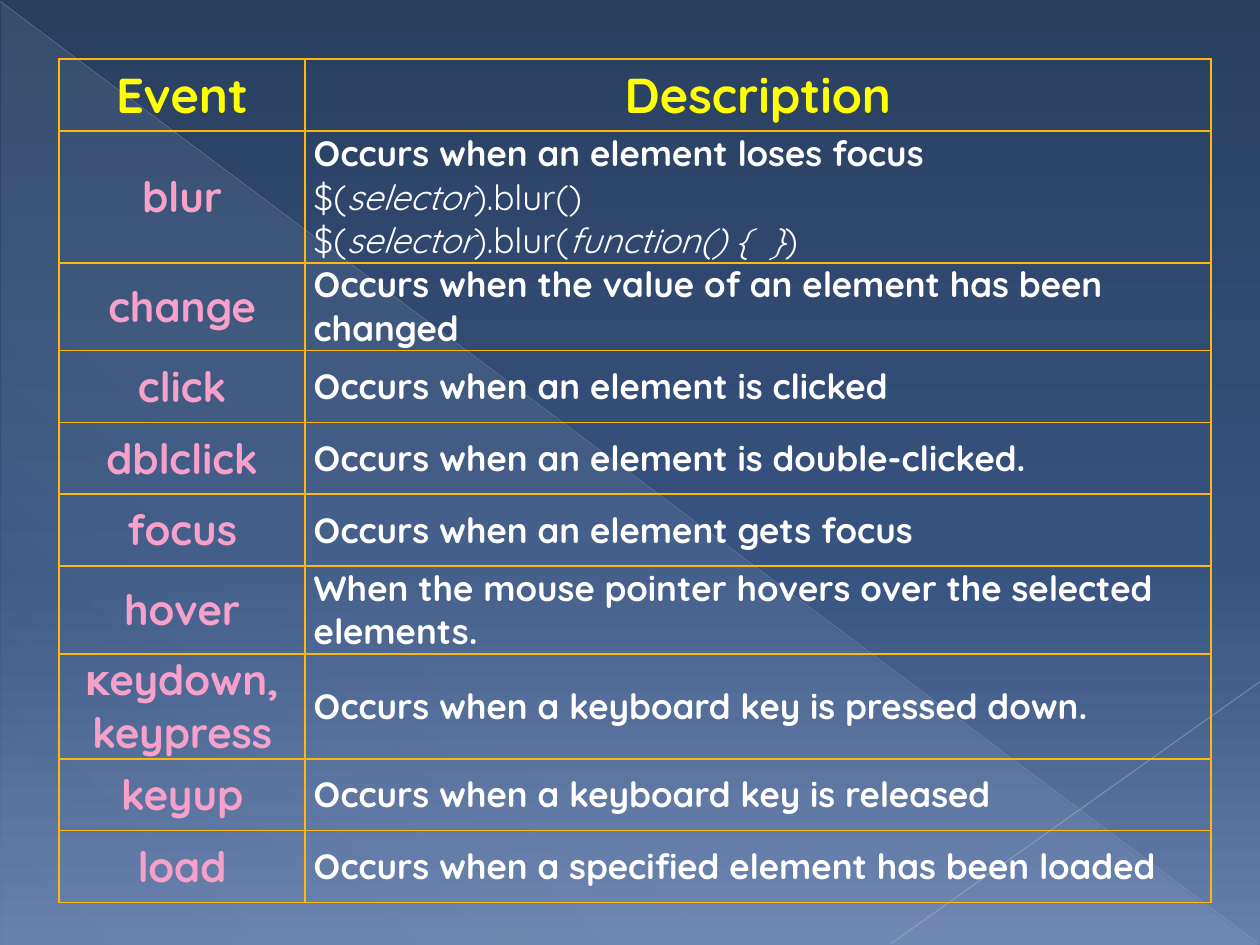
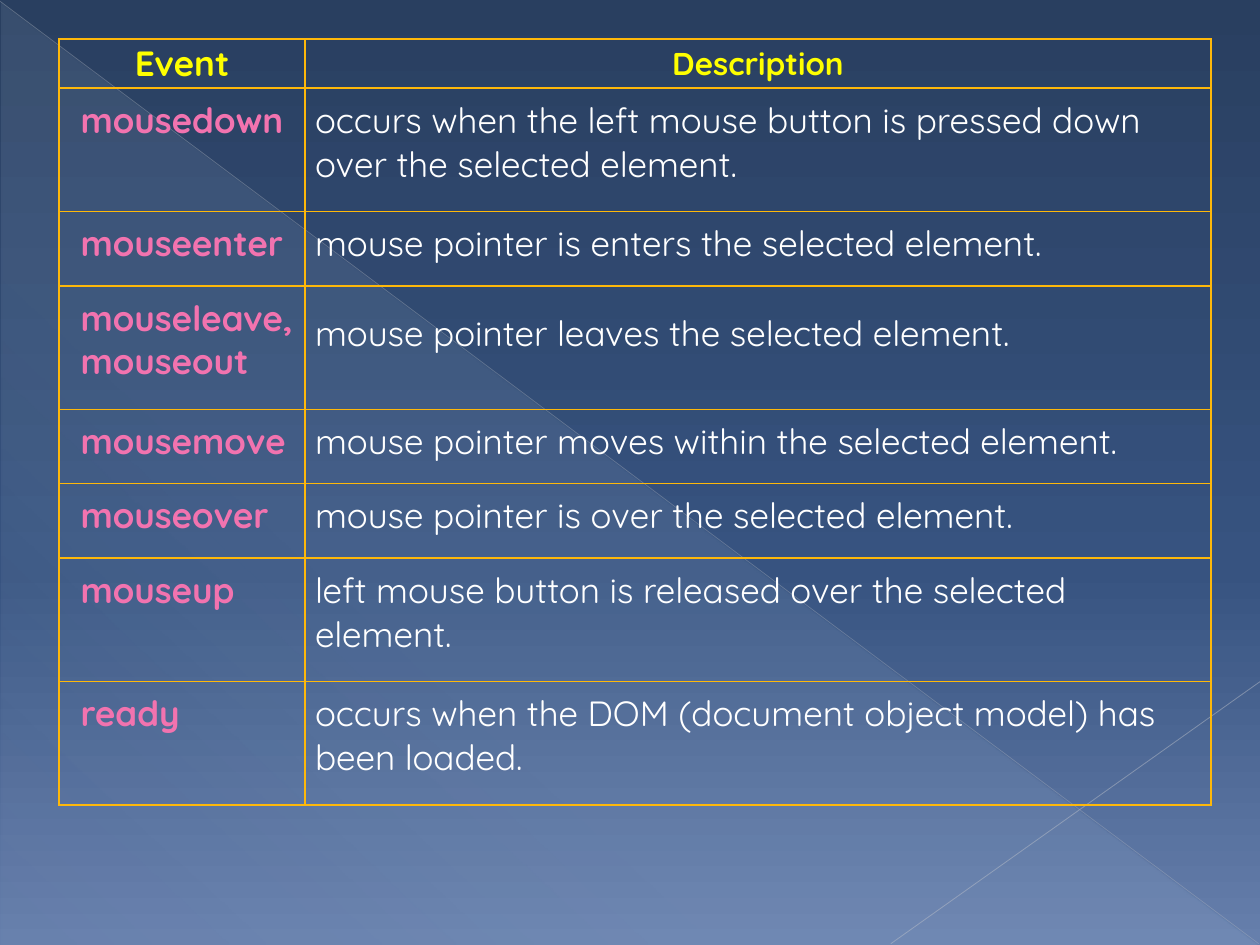
import dataclasses

import lxml.etree
import pptx
import pptx.dml.color
import pptx.enum.shapes
import pptx.enum.text
import pptx.oxml.ns
import pptx.util

Inches = pptx.util.Inches
Pt = pptx.util.Pt
qn = pptx.oxml.ns.qn
CENTER = pptx.enum.text.PP_ALIGN.CENTER
LEFT = pptx.enum.text.PP_ALIGN.LEFT
MIDDLE = pptx.enum.text.MSO_ANCHOR.MIDDLE
TOP = pptx.enum.text.MSO_ANCHOR.TOP


# Content: a description is a string, or a list of paragraphs made of (text, style) spans
HEADINGS = ("Event", "Description")

BLUR_DESCRIPTION = [
    [("Occurs when an element loses focus", "bold")],
    [("$(", ""), ("selector", "italic"), (").blur()", "")],
    [("$(", ""), ("selector", "italic"), (").blur(", ""),
     ("function() {  }", "italic"), (")", "")],
]
GENERAL_EVENTS = [
    ("blur", BLUR_DESCRIPTION, 0.99),
    ("change", "Occurs when the value of an element has been changed", 0.57),
    ("click", "Occurs when an element is clicked", 0.57),
    ("dblclick", "Occurs when an element is double-clicked.", 0.57),
    ("focus", "Occurs when an element gets focus", 0.57),
    ("hover", "When the mouse pointer hovers over the selected elements.", 0.66),
    ([[("K", "bold capital"), ("eydown, keypress", "bold")]],
     "Occurs when a keyboard key is pressed down.", 0.79),
    ("keyup", "Occurs when a keyboard key is released", 0.57),
    ("load", "Occurs when a specified element has been loaded", 0.57),
]

SINGLE, DOUBLE = 0.59, 0.98  # row heights for one and two lines
MOUSE_EVENTS = [
    ("mousedown", "occurs when the left mouse button is pressed down over the "
                  "selected element.", DOUBLE),
    ("mouseenter", "mouse pointer is enters the selected element.", SINGLE),
    ("mouseleave, mouseout", "mouse pointer leaves the selected element.", DOUBLE),
    ("mousemove", "mouse pointer moves within the selected element.", SINGLE),
    ("mouseover", "mouse pointer is over the selected element.", SINGLE),
    ("mouseup", "left mouse button is released over the selected element.", DOUBLE),
    ("ready", "occurs when the DOM (document object model) has been loaded.", DOUBLE),
]
LOWERED_EVENT = "mouseleave, mouseout"  # its description sits a little lower


# Theme
@dataclasses.dataclass(frozen=True)
class Theme:
    font: str = "Quicksand"
    capital_font: str = "DejaVu Sans"
    heading: str = "FFFF00"
    general_event: str = "F7A1CA"
    mouse_event: str = "F273AF"
    text: str = "FFFFFF"
    border: str = "FEB80A"
    border_width: float = 1
    large_heading: int = 28
    event_size: int = 24
    body_size: int = 20
    small_size: int = 18
    # Gradient stops: position in percent, colour, opacity in percent
    backdrop: tuple = ((0, "293F60", 100), (60, "375380", 100), (100, "667FAC", 100))
    sheen: tuple = ((0, "D6ECFF", 10), (70, "D6ECFF", 8), (100, "D6ECFF", 1))


THEME = Theme()

# Backdrop lines: start, end, colour, width, opacity in percent
BACKDROP_LINES = [
    ((0, 0.01), (9.99, 7.49), "B7BCC5", 0.39, 35),
    ((10, 5.41), (7.07, 7.49), "BFC3CB", 0.47, 45),
]

TABLE_LEFT = 0.47
COLUMN_WIDTHS = (1.95, 7.19)


@dataclasses.dataclass(frozen=True)
class CellStyle:
    size: int
    color: str
    bold: bool = True
    align: int = CENTER
    anchor: int = MIDDLE
    insets: tuple = (0.07, 0, 0.07, 0)  # left, top, right, bottom


LARGE_HEADING = CellStyle(THEME.large_heading, THEME.heading)
GENERAL_STYLES = (
    CellStyle(THEME.event_size, THEME.general_event),
    CellStyle(THEME.body_size, THEME.text, align=LEFT),
)
MOUSE_STYLES = (
    CellStyle(THEME.body_size, THEME.mouse_event, True, LEFT, TOP, (0.17, 0.08, 0.08, 0.08)),
    CellStyle(THEME.body_size, THEME.text, False, LEFT, TOP, (0.08, 0.08, 0.08, 0.08)),
)
MOUSE_HEADINGS = (
    CellStyle(THEME.body_size, THEME.heading),
    CellStyle(THEME.small_size, THEME.heading),
)


# Drawing helpers
def rgb(color):
    return pptx.dml.color.RGBColor.from_string(color)


def add_child(parent, tag, **attributes):
    values = {name: str(value) for name, value in attributes.items()}
    return lxml.etree.SubElement(parent, qn(tag), values)


def add_color(parent, color, opacity=100):
    element = add_child(parent, "a:srgbClr", val=color)
    if opacity < 100:
        add_child(element, "a:alpha", val=opacity * 1000)


def set_gradient(owner, fill, stops, angle):
    fill.gradient()
    gradient = owner.find(".//" + qn("a:gradFill"))
    for child in list(gradient):
        gradient.remove(child)
    stop_list = add_child(gradient, "a:gsLst")
    for position, color, opacity in stops:
        add_color(add_child(stop_list, "a:gs", pos=position * 1000), color, opacity)
    add_child(gradient, "a:lin", ang=angle * 60000, scaled=0)


def add_backdrop(page):
    triangle = page.shapes.add_shape(
        pptx.enum.shapes.MSO_SHAPE.RIGHT_TRIANGLE,
        Inches(0.01), Inches(0.02), Inches(9.98), Inches(7.48))
    triangle.shadow.inherit = False
    triangle.line.fill.background()
    set_gradient(triangle.element, triangle.fill, THEME.sheen, 133)

    for start, end, color, width, opacity in BACKDROP_LINES:
        line = page.shapes.add_connector(
            pptx.enum.shapes.MSO_CONNECTOR.STRAIGHT,
            *(Inches(value) for value in start + end))
        line.line.width = Pt(width)
        line.line.color.rgb = rgb(color)
        color_element = line.element.spPr.find(".//" + qn("a:srgbClr"))
        add_child(color_element, "a:alpha", val=opacity * 1000)
        add_child(line.element.spPr, "a:effectLst")


def set_borders(cell):
    properties = cell._tc.get_or_add_tcPr()
    for index, side in enumerate(("a:lnL", "a:lnR", "a:lnT", "a:lnB")):
        border = add_child(properties, side, w=Pt(THEME.border_width))
        add_color(add_child(border, "a:solidFill"), THEME.border)
        properties.insert(index, border)


def fill_cell(cell, content, style):
    cell.fill.background()
    set_borders(cell)
    cell.vertical_anchor = style.anchor
    (cell.margin_left, cell.margin_top,
     cell.margin_right, cell.margin_bottom) = map(Inches, style.insets)

    if isinstance(content, str):
        content = [[(content, "bold" if style.bold else "")]]
    for index, spans in enumerate(content):
        frame = cell.text_frame
        para = frame.add_paragraph() if index else frame.paragraphs[0]
        para.alignment = style.align
        for text, look in spans:
            span = para.add_run()
            span.text = text
            capital = "capital" in look
            span.font.name = THEME.capital_font if capital else THEME.font
            span.font.size = Pt(THEME.small_size if capital else style.size)
            span.font.bold = "bold" in look
            span.font.italic = "italic" in look
            span.font.color.rgb = rgb(style.color)


def add_event_page(deck, top, heading_height, heading_styles, events, styles):
    page = deck.slides.add_slide(deck.slide_layouts[6])
    add_backdrop(page)

    rows = [(*HEADINGS, heading_height), *events]
    heights = [row[2] for row in rows]
    table = page.shapes.add_table(
        len(rows), len(COLUMN_WIDTHS), Inches(TABLE_LEFT), Inches(top),
        Inches(sum(COLUMN_WIDTHS)), Inches(sum(heights))).table
    table.first_row = table.horz_banding = False
    for column, width in zip(table.columns, COLUMN_WIDTHS):
        column.width = Inches(width)

    for row_index, (event, description, height) in enumerate(rows):
        table.rows[row_index].height = Inches(height)
        row_styles = styles if row_index else heading_styles
        for column_index, content in enumerate((event, description)):
            cell = table.cell(row_index, column_index)
            fill_cell(cell, content, row_styles[column_index])
        if event == LOWERED_EVENT:
            cell.margin_top = Inches(0.2)


# Deck
deck = pptx.Presentation()
deck.slide_width, deck.slide_height = Inches(10), Inches(7.5)
master = deck.slide_master
set_gradient(master.element, master.background.fill, THEME.backdrop, 90)

add_event_page(deck, 0.47, 0.57, (LARGE_HEADING, LARGE_HEADING),
               GENERAL_EVENTS, GENERAL_STYLES)
add_event_page(deck, 0.31, 0.39, MOUSE_HEADINGS, MOUSE_EVENTS, MOUSE_STYLES)

deck.save("out.pptx")
